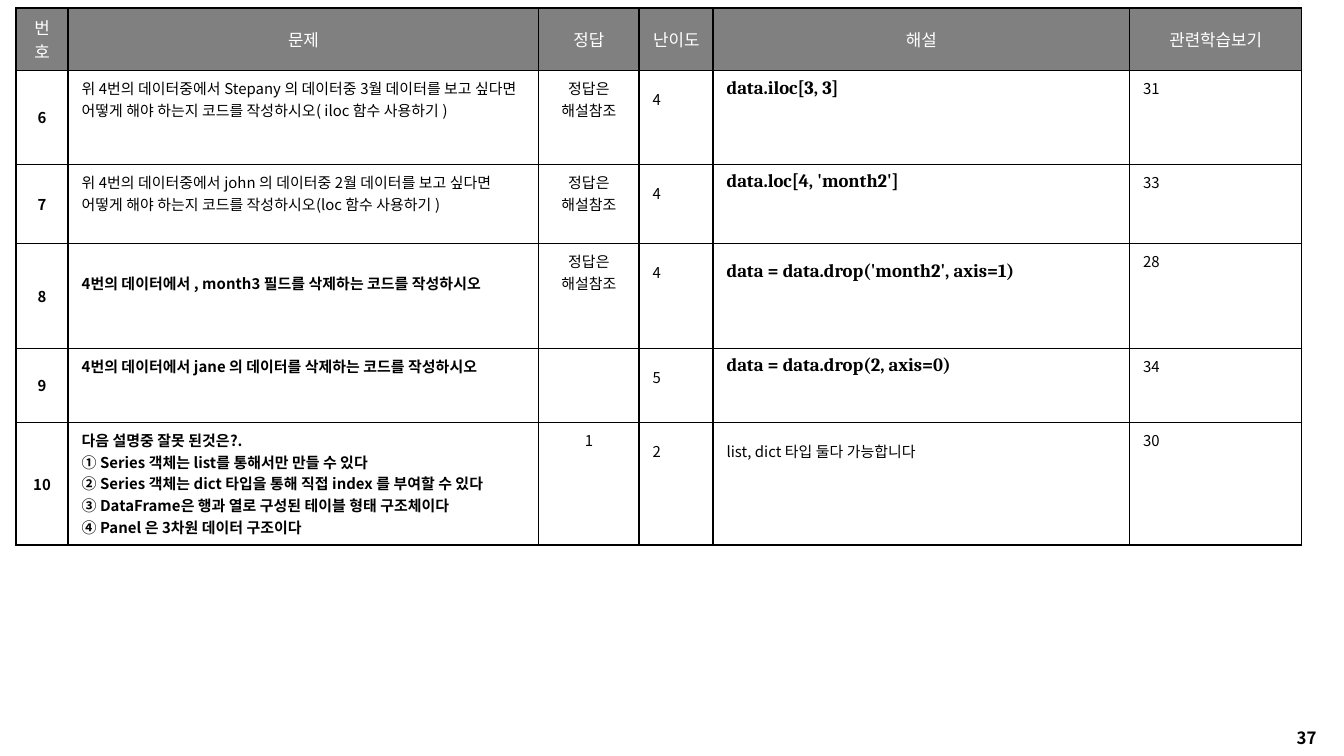
from lxml import etree
from pptx import Presentation, util as u
from pptx.dml.color import RGBColor
from pptx.enum import text
from pptx.oxml import ns

BODY, CODE = "Noto Sans CJK KR", "Cambria"
CENTER, LEFT = text.PP_ALIGN.CENTER, text.PP_ALIGN.LEFT
MIDDLE, TOP = text.MSO_ANCHOR.MIDDLE, text.MSO_ANCHOR.TOP


def rgb(value):
    return RGBColor.from_string(value)


class Deck:
    ink, paper, header_fill = "000000", "FFFFFF", "808080"

    def __init__(self, width, height):
        self.prs = Presentation()
        self.prs.slide_width, self.prs.slide_height = u.Cm(width), u.Cm(height)
        self.s = None

    def add_slide(self):
        self.s = self.prs.slides.add_slide(self.prs.slide_layouts[6])

    def fill_text(self, tf, content, size=8, bold=False, font=BODY, color=ink,
                  align=LEFT, spacing=None):
        """Fill a text frame with one paragraph per line of content."""
        tf.word_wrap = True
        for i, line in enumerate(content.split("\n")):
            p = tf.paragraphs[0] if i == 0 else tf.add_paragraph()
            p.alignment = align
            if spacing:
                p.line_spacing = spacing
            r = p.add_run()
            r.text = line
            r.font.size, r.font.bold, r.font.name = u.Pt(size), bold, font
            r.font.color.rgb = rgb(color)
            ea = etree.SubElement(r._r.get_or_add_rPr(), ns.qn("a:ea"))
            ea.set("typeface", font)

    def textbox(self, x, y, w, h, content, **style):
        sp = self.s.shapes.add_textbox(u.Cm(x), u.Cm(y), u.Cm(w), u.Cm(h))
        self.fill_text(sp.text_frame, content, **style)

    def table(self, x, y, widths, heights):
        frame = self.s.shapes.add_table(
            len(heights), len(widths), u.Cm(x), u.Cm(y),
            u.Cm(sum(widths)), u.Cm(sum(heights)))
        for col, width in zip(frame.table.columns, widths):
            col.width = u.Cm(width)
        for row, height in zip(frame.table.rows, heights):
            row.height = u.Cm(height)
        return frame.table

    def border(self, cell, side, width):
        ln = etree.SubElement(cell._tc.get_or_add_tcPr(), ns.qn("a:ln" + side))
        ln.set("w", str(u.Pt(width)))
        fill = etree.SubElement(ln, ns.qn("a:solidFill"))
        etree.SubElement(fill, ns.qn("a:srgbClr")).set("val", self.ink)

    def cell(self, cell, content, fill=paper, anchor=TOP, rules=(1, 1),
             drop=0, **style):
        """Style one cell; rules are top and bottom widths, drop lowers the text."""
        for side, width in zip("LRTB", (1, 1, *rules)):
            self.border(cell, side, width)
        cell.fill.solid()
        cell.fill.fore_color.rgb = rgb(fill)
        cell.vertical_anchor = anchor
        cell.margin_top = u.Cm(0.13 + drop)
        if content:
            self.fill_text(cell.text_frame, content, **style)


HEADERS = ["번호", "문제", "정답", "난이도", "해설", "관련학습보기"]
SEE_NOTES = "정답은 해설참조"
code = {"size": 10, "bold": True, "font": CODE}
bold = {"bold": True}

# number, question, answer, level, explanation, page, question style, explanation style
QUESTIONS = [
    ("6", "위 4번의 데이터중에서 Stepany 의 데이터중 3월 데이터를 보고 싶다면 "
     "어떻게 해야 하는지 코드를 작성하시오( iloc 함수 사용하기 )",
     SEE_NOTES, "4", "data.iloc[3, 3]", "31", {}, code),
    ("7", "위 4번의 데이터중에서 john 의 데이터중 2월 데이터를 보고 싶다면 "
     "어떻게 해야 하는지 코드를 작성하시오(loc 함수 사용하기 )",
     SEE_NOTES, "4", "data.loc[4, 'month2']", "33", {}, code),
    ("8", "4번의 데이터에서 , month3 필드를 삭제하는 코드를 작성하시오",
     SEE_NOTES, "4", "data = data.drop('month2', axis=1)", "28",
     {"drop": 0.41, **bold}, {"spacing": 1.5, **code}),
    ("9", "4번의 데이터에서 jane 의 데이터를 삭제하는 코드를 작성하시오",
     "", "5", "data = data.drop(2, axis=0)", "34", bold, code),
    ("10", "다음 설명중 잘못 된것은?.\n"
     "① Series 객체는 list를 통해서만 만들 수 있다\n"
     "② Series 객체는 dict 타입을 통해 직접 index 를 부여할 수 있다\n"
     "③ DataFrame은 행과 열로 구성된 테이블 형태 구조체이다\n"
     "④ Panel 은 3차원 데이터 구조이다",
     "1", "2", "list, dict 타입 둘다 가능합니다", "30", bold, {"spacing": 1.5}),
]


def main():
    deck = Deck(25.4, 14.29)
    deck.add_slide()
    table = deck.table(0.3, 0.15, [0.99, 8.89, 1.9, 1.4, 7.87, 3.25],
                       [1.17, 1.77, 1.5, 1.98, 1.4, 2.32])
    for c, header in enumerate(HEADERS):
        deck.cell(table.cell(0, c), header, fill=deck.header_fill, anchor=MIDDLE,
                  size=9, color=deck.paper, align=CENTER)
    for i, (*values, question_style, note_style) in enumerate(QUESTIONS, 1):
        styles = [{"bold": True, "align": CENTER, "anchor": MIDDLE},
                  question_style, {"align": CENTER}, {"spacing": 1.5},
                  note_style, {}]
        rules = (1 if i == 1 else 0.5, 1 if i == len(QUESTIONS) else 0.5)
        for c, (value, style) in enumerate(zip(values, styles)):
            deck.cell(table.cell(i, c), value, rules=rules, **style)
    deck.textbox(24.1, 13.64, 1.19, 0.64, "37", size=9, bold=True, align=CENTER)
    deck.prs.save("out.pptx")


if __name__ == "__main__":
    main()
